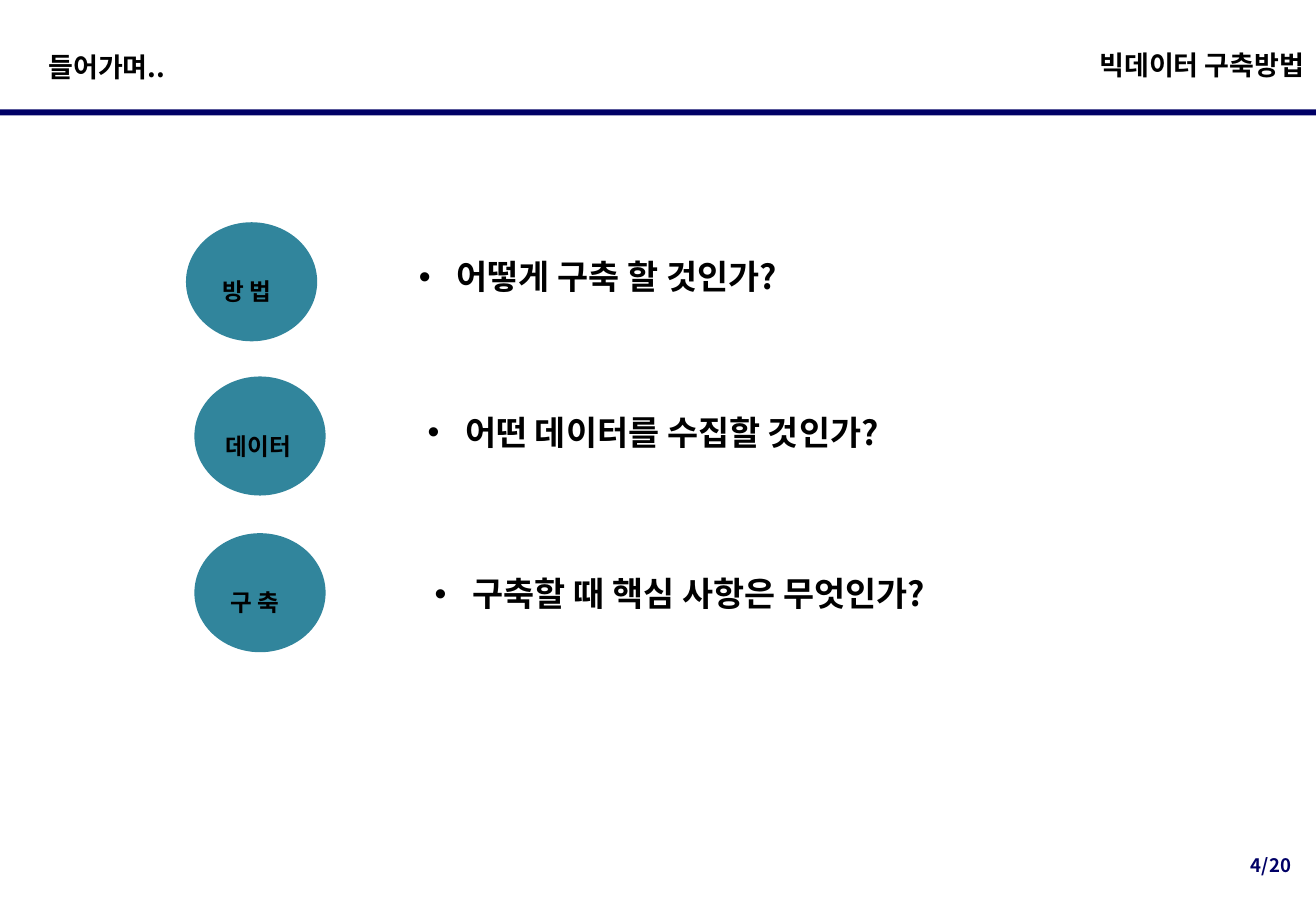
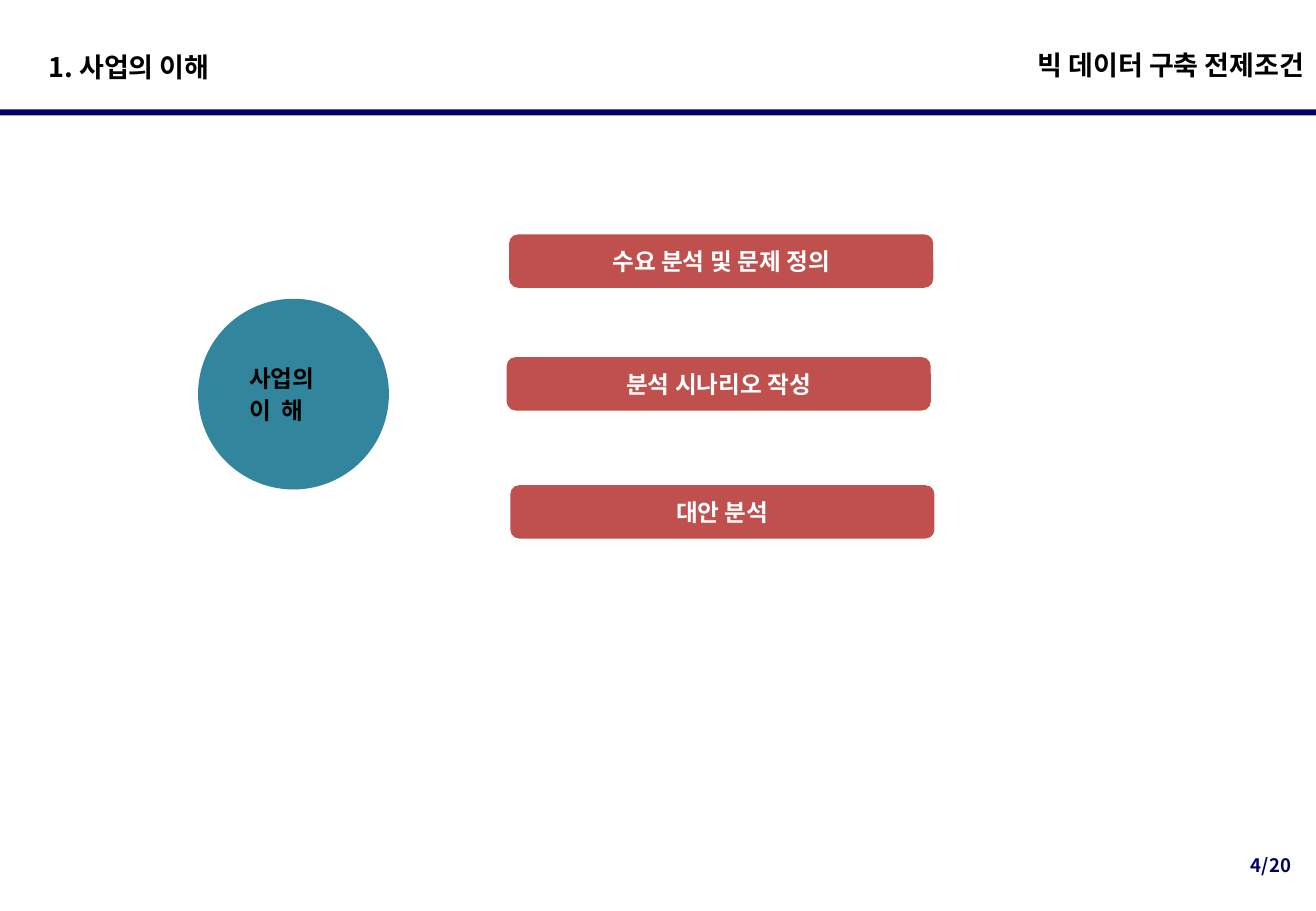
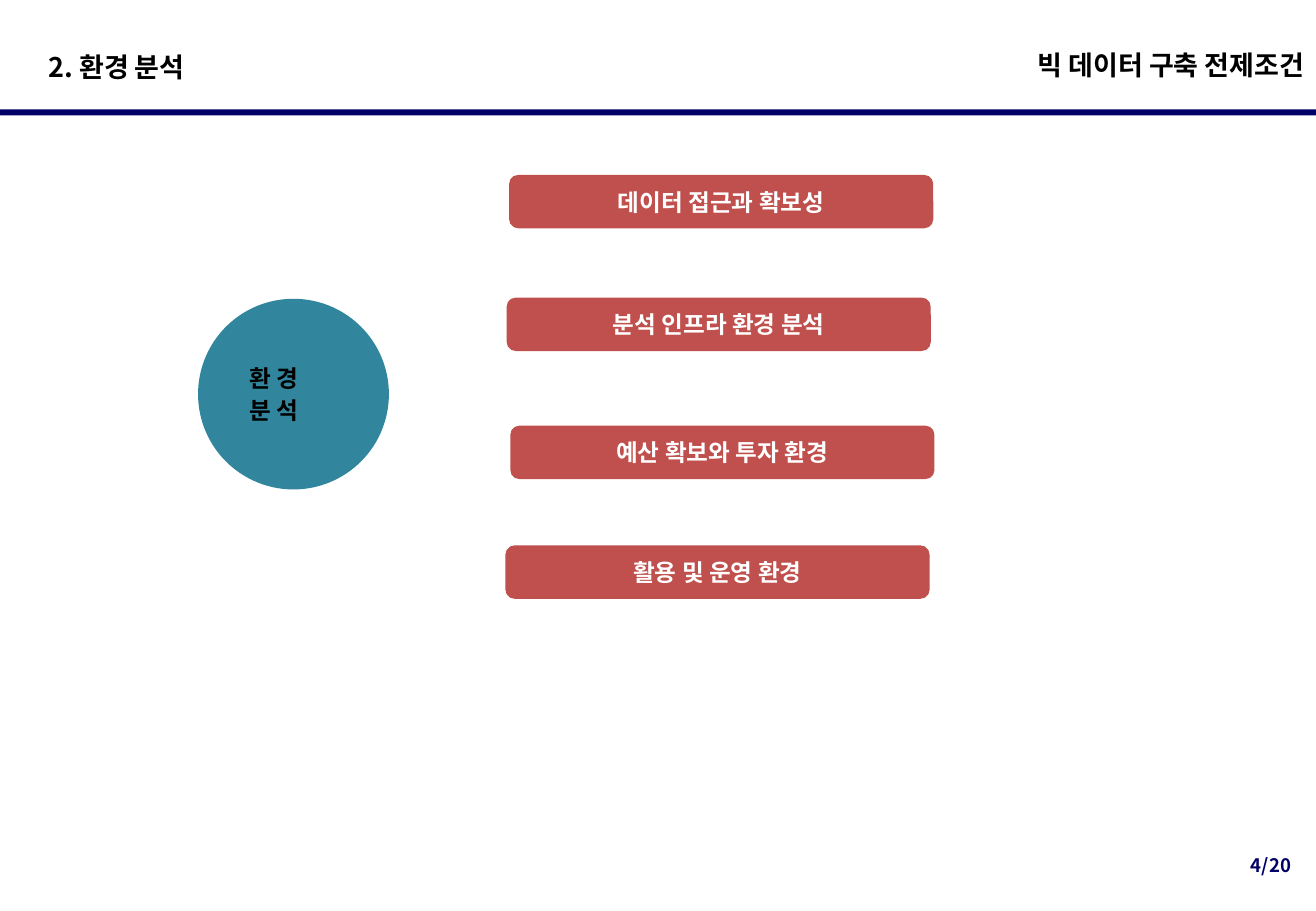
from dataclasses import dataclass
from typing import Any

from pptx import Presentation
from pptx.dml.color import RGBColor
from pptx.enum.shapes import MSO_SHAPE
from pptx.enum.text import MSO_ANCHOR, MSO_AUTO_SIZE, PP_ALIGN
from pptx.oxml import parse_xml
from pptx.oxml.ns import nsdecls
from pptx.util import Inches, Pt

RECT, OVAL, ROUND = MSO_SHAPE.RECTANGLE, MSO_SHAPE.OVAL, MSO_SHAPE.ROUNDED_RECTANGLE
LEFT, MID, RIGHT = PP_ALIGN.LEFT, PP_ALIGN.CENTER, PP_ALIGN.RIGHT
TOP, CENTRE = MSO_ANCHOR.TOP, MSO_ANCHOR.MIDDLE
GROW, FIXED = MSO_AUTO_SIZE.SHAPE_TO_FIT_TEXT, MSO_AUTO_SIZE.NONE

WIDE, HIGH = 10.83, 7.5
COLS = ROWS = 100
FONT = "Noto Sans CJK KR"
HUES = {"ink": "000000", "navy": "000066", "teal": "31859C", "red": "C0504D", "white": "FFFFFF"}
PAD = (0.1, 0.05, 0.1, 0.05)


@dataclass(frozen=True)
class Box:
    col: float
    row: float
    cols: float
    rows: float

    def place(self) -> tuple[int, int, int, int]:
        x, y = WIDE / COLS, HIGH / ROWS
        return (Inches(self.col * x), Inches(self.row * y),
                Inches(self.cols * x), Inches(self.rows * y))


@dataclass(frozen=True)
class Topic:
    word: str
    ask: str
    disc: Box
    line: Box
    lead: float


@dataclass(frozen=True)
class Part:
    title: str
    words: str
    top: float
    items: tuple[str, ...]


HEAD = Box(2.77, 4.67, 85.04, 5.2)
RULE = Box(0, 12, 100, 0.67)
PAGE = Box(92.43, 93.6, 8.31, 3.33)
DISC = Box(15.05, 32.8, 14.5, 20.93)
STEPS = ((38.69, 0), (38.5, 13.47), (38.78, 27.53), (38.41, 40.67))

TOPICS = (
    Topic("방 법", "어떻게 구축 할 것인가?",
          Box(14.13, 24.4, 9.97, 13.07), Box(30.93, 27.47, 30.66, 5.87), 0.14),
    Topic("데이터", "어떤 데이터를 수집할 것인가?",
          Box(14.77, 41.33, 9.97, 13.07), Box(31.58, 44.53, 37.77, 5.87), 0.1),
    Topic("구 축", "구축할 때 핵심 사항은 무엇인가?",
          Box(14.77, 58.53, 9.97, 13.07), Box(32.13, 62.27, 40.17, 5.87), 0.14),
)
PARTS = (
    Part("1. 사업의 이해", "사업의\n이  해", 25.73,
         ("수요 분석 및 문제 정의", "분석 시나리오 작성", "대안 분석")),
    Part("2. 환경 분석", "환 경\n분 석", 19.2,
         ("데이터 접근과 확보성", "분석 인프라 환경 분석", "예산 확보와 투자 환경", "활용 및 운영 환경")),
)


def tint(name: str) -> RGBColor:
    return RGBColor.from_string(HUES[name])


def write(shape: Any, text: str, *, size: float = 14, hue: str = "ink", align: Any = LEFT,
          anchor: Any = TOP, pad: tuple[float, ...] = PAD, wrap: bool = True, fit: Any = FIXED,
          before: float = 0, after: float = 0, pitch: float = 1, hang: float = 0,
          mark: str = "") -> None:
    frame = shape.text_frame
    frame.text = text
    frame.word_wrap, frame.auto_size, frame.vertical_anchor = wrap, fit, anchor
    (frame.margin_left, frame.margin_top,
     frame.margin_right, frame.margin_bottom) = map(Inches, pad)
    for para in frame.paragraphs:
        para.alignment, para.line_spacing = align, pitch
        para.space_before, para.space_after = Pt(before), Pt(after)
        props = para._p.get_or_add_pPr()
        if hang:
            props.set("marL", str(Inches(hang)))
            props.set("indent", str(-Inches(hang)))
        if mark:
            props.append(parse_xml(f'<a:buFont {nsdecls("a")} typeface="Arial"/>'))
            props.append(parse_xml(f'<a:buChar {nsdecls("a")} char="{mark}"/>'))
        for run in para.runs:
            font = run.font
            font.name, font.size, font.bold = FONT, Pt(size), True
            font.color.rgb = tint(hue)
            font._element.find("{*}latin").addnext(
                parse_xml(f'<a:ea {nsdecls("a")} typeface="{FONT}"/>'))


def block(slide: Any, kind: Any, box: Box, hue: str) -> Any:
    shape = slide.shapes.add_shape(kind, *box.place())
    shape.shadow.inherit = False
    shape.fill.solid()
    shape.fill.fore_color.rgb = tint(hue)
    shape.line.fill.background()
    return shape


def label(slide: Any, box: Box, text: str, **form: Any) -> None:
    write(slide.shapes.add_textbox(*box.place()), text, **form)


def disc(slide: Any, box: Box, text: str, lead: float) -> None:
    write(block(slide, OVAL, box, "teal"), text, pad=(lead, 0.31, 0.04, 0.04), after=1.8)


def start(deck: Any, title: str, theme: str, cols: float) -> Any:
    slide = deck.slides.add_slide(deck.slide_layouts[5])
    head = slide.shapes.title
    head.left, head.top, head.width, head.height = HEAD.place()
    write(head, title, size=16, anchor=CENTRE)
    block(slide, RULE_KIND, RULE, "navy")
    label(slide, PAGE, "4/20", size=11, hue="navy", align=MID, wrap=False, fit=GROW,
          before=6.9, pitch=0.8, hang=0.19)
    label(slide, Box(COLS - cols, HEAD.row, cols, HEAD.rows), theme, size=16, align=RIGHT)
    return slide


RULE_KIND = RECT


def intro(deck: Any) -> None:
    slide = start(deck, "들어가며..", "빅데이터 구축방법", 20.59)
    for topic in TOPICS:
        disc(slide, topic.disc, topic.word, topic.lead)
        label(slide, topic.line, topic.ask, size=20, wrap=False, fit=GROW,
              after=2.5, hang=0.31, mark="•")


def chapter(deck: Any, part: Part) -> None:
    slide = start(deck, part.title, "빅 데이터 구축 전제조건", 26.78)
    disc(slide, DISC, part.words, 0.19)
    for (col, drop), item in zip(STEPS, part.items):
        bar = block(slide, ROUND, Box(col, part.top + drop, 32.23, 5.87), "red")
        bar.adjustments[0] = 0.17
        write(bar, item, hue="white", align=MID, anchor=CENTRE, after=1.8)


def main() -> None:
    deck = Presentation()
    deck.slide_width, deck.slide_height = Inches(WIDE), Inches(HIGH)
    intro(deck)
    for part in PARTS:
        chapter(deck, part)
    deck.save("out.pptx")


if __name__ == "__main__":
    main()
